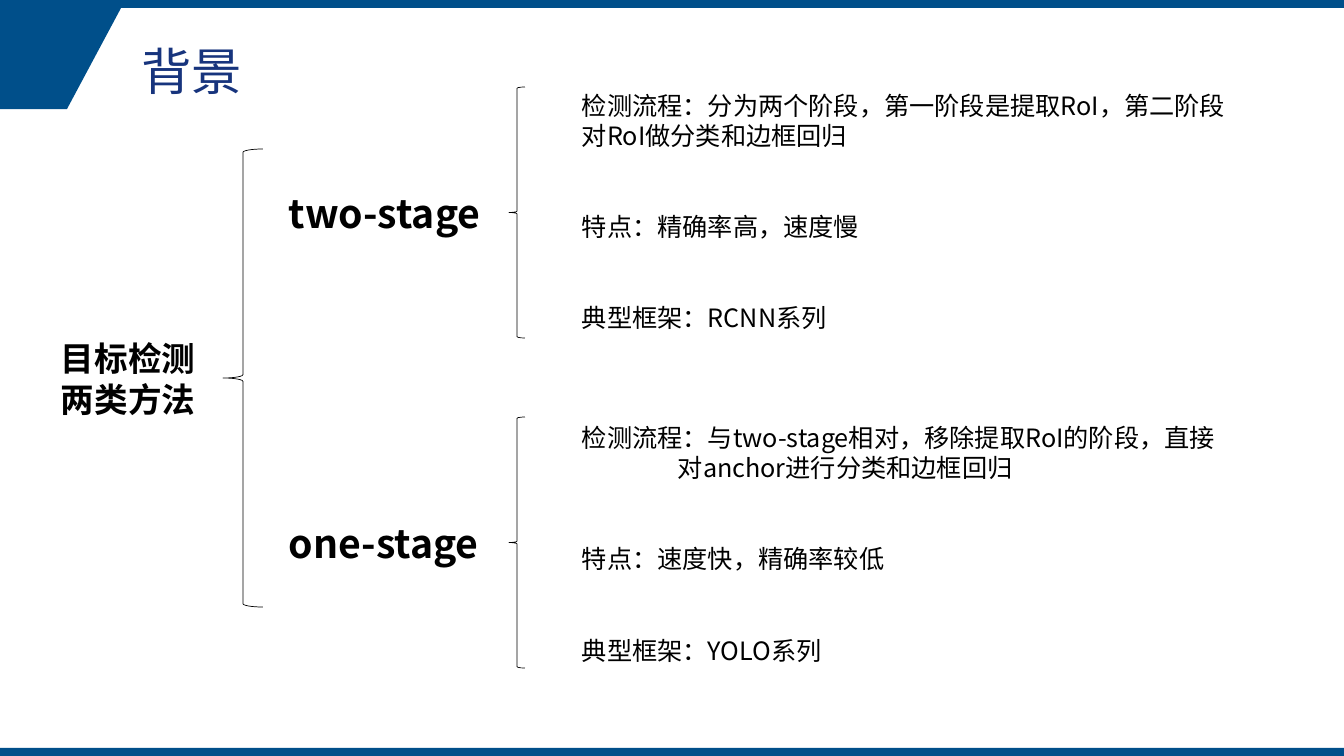
from lxml import etree
from pptx import Presentation
from pptx import util as u
from pptx.dml import color
from pptx.enum import shapes, text
from pptx.oxml import ns

COLORS = {"bar": "004F8A", "title": "17347D", "ink": "000000"}
SCALE = 914400 / 100.8


def px(n):
    return u.Emu(round(n * SCALE))


class Deck:
    """Holds the style and the current slide and draws each kind of element."""

    def __init__(self):
        self.prs = Presentation()
        self.prs.slide_width, self.prs.slide_height = px(1344), px(756)
        self.s = self.prs.slides.add_slide(self.prs.slide_layouts[5])
        self.font = "Noto Sans CJK SC"

    def rgb(self, name):
        return color.RGBColor.from_string(COLORS[name])

    def run(self, p, words, size, name="ink", font=None, bold=False):
        r = p.add_run()
        r.text = words
        f = r.font
        f.name, f.size, f.bold = font or self.font, u.Pt(size), bold
        f.color.rgb = self.rgb(name)
        ea = etree.SubElement(r._r.get_or_add_rPr(), ns.qn("a:ea"))
        ea.set("typeface", self.font)

    def solid(self, sp):
        sp.shadow.inherit = False
        sp.fill.solid()
        sp.fill.fore_color.rgb = self.rgb("bar")
        sp.line.fill.background()

    def bar(self, y):
        self.solid(self.s.shapes.add_shape(
            shapes.MSO_SHAPE.RECTANGLE, px(0), px(y), px(1344), px(8)))

    def corner(self, points):
        fb = self.s.shapes.build_freeform(*points[0], scale=SCALE)
        fb.add_line_segments(points[1:], close=True)
        self.solid(fb.convert_to_shape())

    def brace(self, x, y, w, h):
        sp = self.s.shapes.add_shape(
            shapes.MSO_SHAPE.LEFT_BRACE, px(x), px(y), px(w), px(h))
        sp.shadow.inherit = False
        sp.fill.background()
        sp.line.color.rgb = self.rgb("ink")
        sp.line.width = u.Pt(0.5)

    def title(self, words, x, y, w, h):
        sp = self.s.shapes.title
        sp.left, sp.top, sp.width, sp.height = px(x), px(y), px(w), px(h)
        tf = sp.text_frame
        tf.auto_size = text.MSO_AUTO_SIZE.NONE
        tf.vertical_anchor = text.MSO_ANCHOR.MIDDLE
        p = tf.paragraphs[0]
        p.alignment = text.PP_ALIGN.LEFT
        self.run(p, words, 36, "title", "Calibri")

    def textbox(self, lines, x, y, w, h, size, bold=False):
        tf = self.s.shapes.add_textbox(px(x), px(y), px(w), px(h)).text_frame
        tf.word_wrap = True
        for i, (words, gap, indent, tab) in enumerate(lines):
            p = tf.paragraphs[0] if i == 0 else tf.add_paragraph()
            p.line_spacing = u.Pt(round(size * 1.205, 1))
            p.space_before = u.Pt(gap)
            pPr = p._p.get_or_add_pPr()
            if indent:
                pPr.set("marL", str(px(indent)))
                pPr.set("indent", "0")
            if tab:
                tabs = etree.SubElement(pPr, ns.qn("a:tabLst"))
                etree.SubElement(tabs, ns.qn("a:tab"), pos=str(px(tab)), algn="l")
            self.run(p, words, size, bold=bold)

    def label(self, lines, x, y, w, h, size):
        self.textbox([(words, 0, 0, 0) for words in lines], x, y, w, h, size, True)


def main():
    d = Deck()
    d.bar(748)
    d.corner([(0, 8), (121, 8), (67, 109), (0, 109)])
    d.bar(0)
    d.title("背景", 131, 34, 384, 72)
    d.brace(223, 149, 40, 458)
    d.label(["目标检测", "两类方法"], 51, 333, 160, 92, 24)

    gap = 43.4
    stages = [
        ("two-stage", 87, 184, 85, 668, [
            ("检测流程：分为两个阶段，第一阶段是提取RoI，第二阶段\t对RoI做分类和边框回归", 0, 0, 115),
            ("特点：精确率高，速度慢", gap, 0, 0),
            ("典型框架：RCNN系列", gap, 0, 0)]),
        ("one-stage", 417, 514, 417, 694, [
            ("检测流程：与two-stage相对，移除提取RoI的阶段，直接", 0, 0, 0),
            ("对anchor进行分类和边框回归", 0, 96, 0),
            ("特点：速度快，精确率较低", gap, 0, 0),
            ("典型框架：YOLO系列", gap, 0, 0)]),
    ]
    for name, brace_y, label_y, body_y, body_w, lines in stages:
        d.label([name], 279, label_y, 230, 57, 28)
        d.brace(509, brace_y, 16, 251)
        d.textbox(lines, 572, body_y, body_w, 254, 18)
    d.prs.save("out.pptx")


if __name__ == "__main__":
    main()
